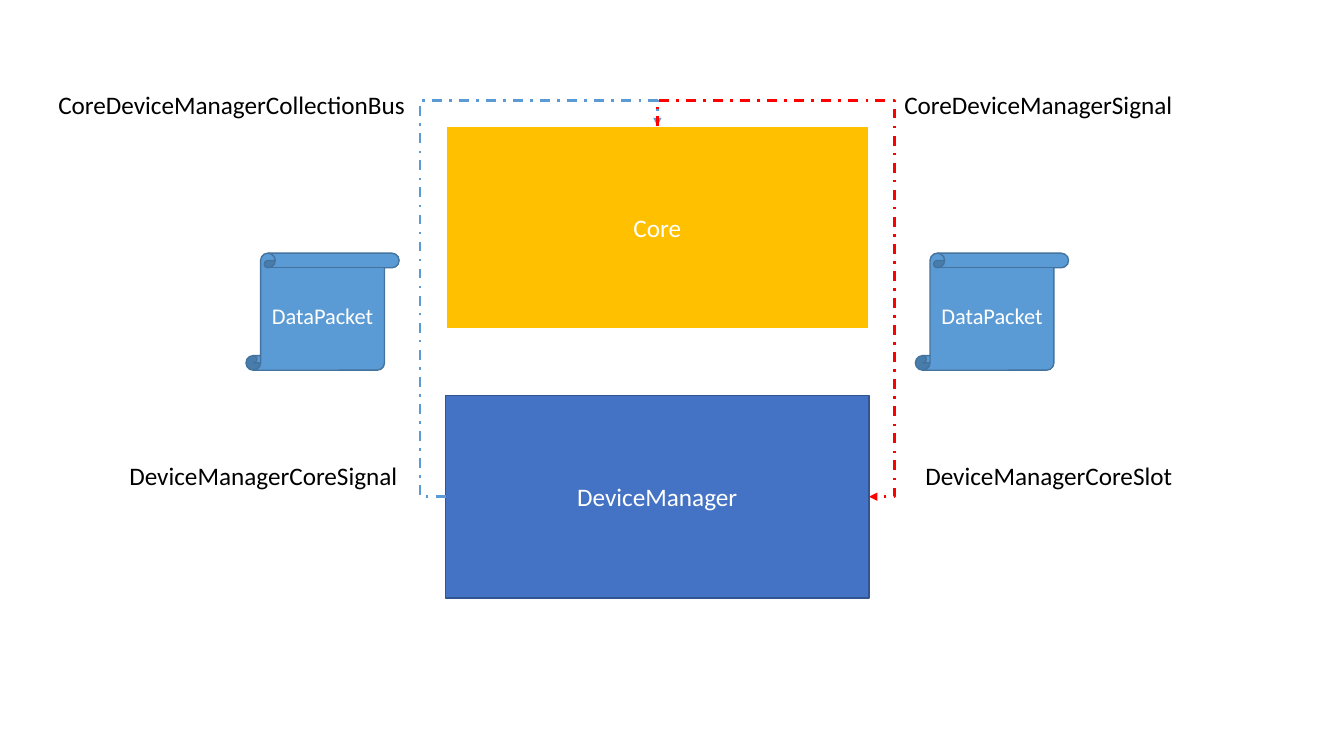
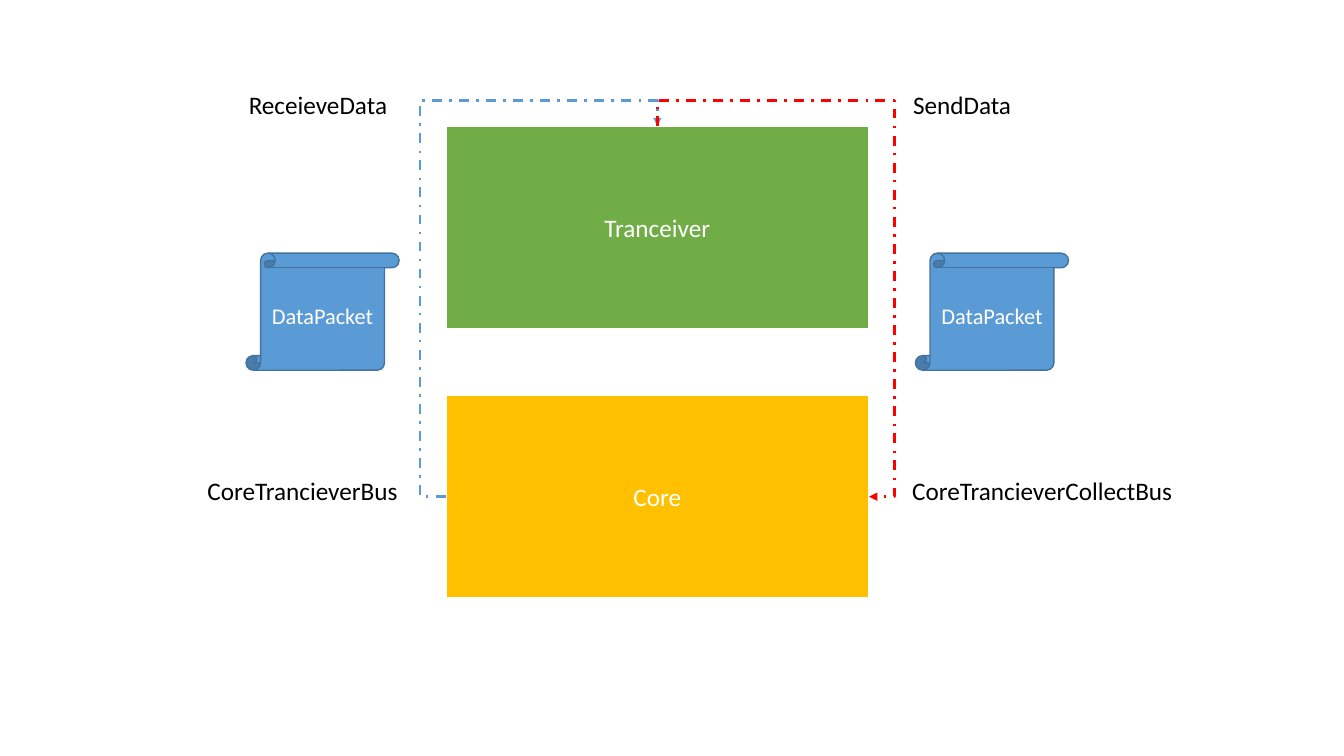
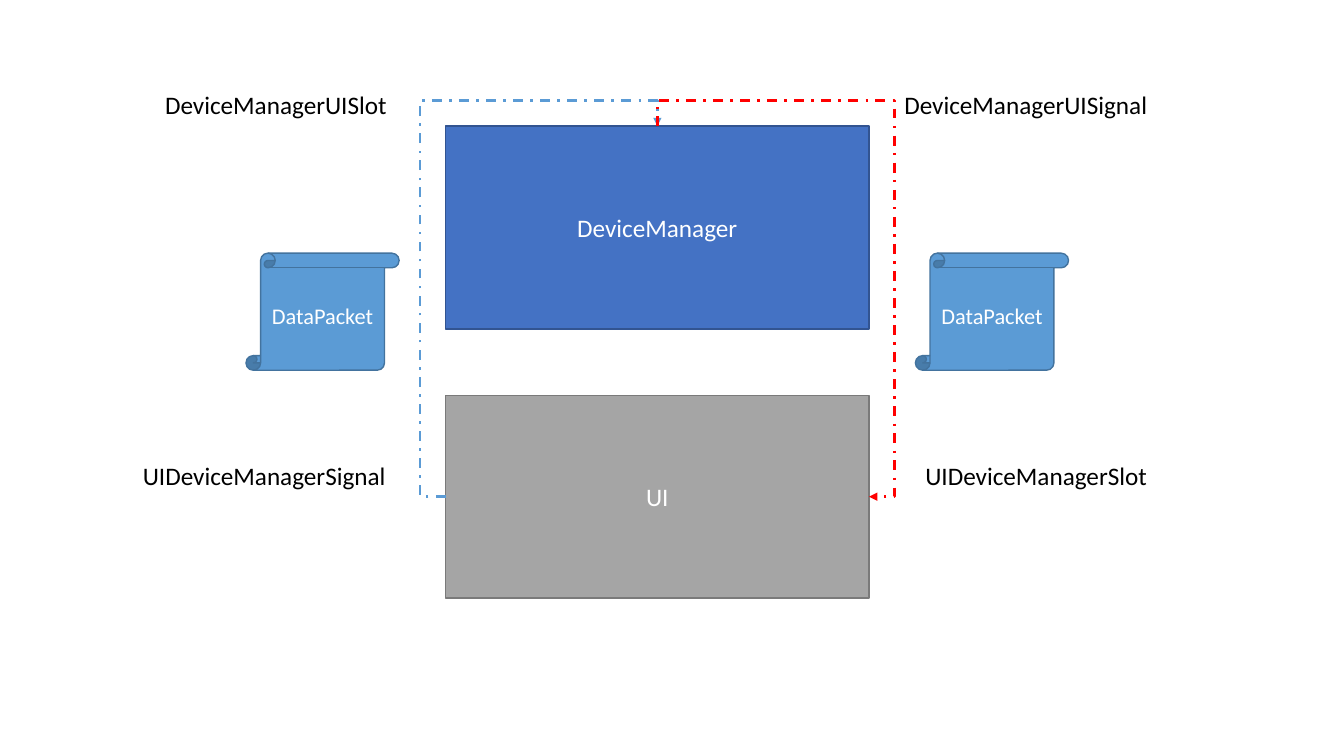
from lxml import etree
from pptx import Presentation
from pptx import util as u
from pptx.dml.color import RGBColor
from pptx.enum import dml, shapes, text
from pptx.oxml import ns

INK = {"white": "FFFFFF", "black": "000000", "red": "FF0000", "sky": "5B9BD5",
       "steel": "43739E", "gold": "FFC000", "green": "70AD47", "blue": "4472C4",
       "navy": "325491", "gray": "A5A5A5", "iron": "7A7A7A"}
FONT = "Calibri"
LEFT, TOP, WIDE, HIGH, PITCH = 11.23, 3.18, 10.67, 5.11, 6.78
LOOP = 0.64
SCROLL = {"wide": 3.86, "high": 2.95, "gap": 1.17, "drop": 3.2}
PARTS = {
    "Core": ("gold", "white", 1.5),
    "Tranceiver": ("green", "white", 1.5),
    "DeviceManager": ("blue", "navy", 1),
    "UI": ("gray", "iron", 1),
}
SLIDES = [
    {"parts": ("Core", "DeviceManager"), "low": 8.3,
     "left": (("CoreDeviceManagerCollectionBus", 0.66, 9.35),
              ("DeviceManagerCoreSignal", 0.88, 7.34)),
     "right": (("CoreDeviceManagerSignal", 0.64, 7.34),
               ("DeviceManagerCoreSlot", 1.17, 6.81))},
    {"parts": ("Tranceiver", "Core"), "low": 8.68,
     "left": (("ReceieveData", 1.17, 4.04), ("CoreTrancieverBus", 0.89, 5.36)),
     "right": (("SendData", 0.86, 3.02), ("CoreTrancieverCollectBus", 0.84, 7.14))},
    {"parts": ("DeviceManager", "UI"), "low": 8.3,
     "left": (("DeviceManagerUISlot", 1.17, 6.15), ("UIDeviceManagerSignal", 1.17, 6.71)),
     "right": (("DeviceManagerUISignal", 0.64, 6.71), ("UIDeviceManagerSlot", 1.17, 6.15))},
]


def tint(name):
    """Return the named colour."""
    return RGBColor.from_string(INK[name])


def write(frame, words, size, ink):
    """Add one run of text to a frame."""
    run = frame.paragraphs[0].add_run()
    run.text = words
    run.font.size, run.font.name = u.Pt(size), FONT
    run.font.color.rgb = tint(ink)


def block(slide, kind, box, words, look, size=18):
    """Draw a filled shape with centred text in the box."""
    fill, edge, weight = look
    form = slide.shapes.add_shape(kind, *map(u.Cm, box))
    form.shadow.inherit = False
    form.fill.solid()
    form.fill.fore_color.rgb = tint(fill)
    form.line.color.rgb = tint(edge)
    form.line.width = u.Pt(weight)
    form.text_frame.vertical_anchor = text.MSO_ANCHOR.MIDDLE
    form.text_frame.paragraphs[0].alignment = text.PP_ALIGN.CENTER
    write(form.text_frame, words, size, "white")
    return form


def label(slide, x, y, wide, words):
    """Place a one-line label."""
    frame = slide.shapes.add_textbox(*map(u.Cm, (x, y, wide, 1.03))).text_frame
    frame.word_wrap = False
    frame.auto_size = text.MSO_AUTO_SIZE.SHAPE_TO_FIT_TEXT
    write(frame, words, 18, "black")


def route(slide, box, turn, ink, start, end):
    """Draw a dashed elbow arrow around the box, turned by some degrees."""
    x, y, wide, high = box
    line = slide.shapes.add_connector(shapes.MSO_CONNECTOR.ELBOW, 0, 0, 0, 0)
    line.begin_connect(*start)
    line.end_connect(*end)
    line.left, line.top, line.width, line.height = map(u.Cm, box)
    line.line.color.rgb = tint(ink)
    line.line.width = u.Pt(1.75)
    line.line.dash_style = dml.MSO_LINE.DASH_DOT
    props = line._element.spPr
    frame = props.find(ns.qn("a:xfrm"))
    frame.attrib.pop("flipV", None)
    frame.set("flipH", "1")
    frame.set("rot", str(turn * 60000))
    geom = props.find(ns.qn("a:prstGeom"))
    geom.set("prst", "bentConnector4")
    bends = geom.find(ns.qn("a:avLst"))
    if bends is None:
        bends = etree.SubElement(geom, ns.qn("a:avLst"))
    for name, share in (("adj1", -LOOP / wide), ("adj2", 1 + LOOP / high)):
        if turn == 270:
            share = -LOOP / wide if name == "adj1" else 1 + LOOP / high
        etree.SubElement(bends, ns.qn("a:gd"), name=name,
                         fmla=f"val {round(share * 100000)}")
    etree.SubElement(props.find(ns.qn("a:ln")), ns.qn("a:tailEnd"), type="triangle")
    etree.SubElement(props, ns.qn("a:effectLst"))


def loops(slide, box, upper, lower):
    """Join two blocks by an arrow on each side of the box."""
    x, y, wide, high = box
    half, drop = wide / 2, PITCH + high / 2 - high / 2 + high / 2
    route(slide, (x, y, half, drop), 180, "sky", (lower, 1), (upper, 0))
    shift = (drop - half) / 2
    route(slide, (x + half - shift, y + shift, drop, half), 270, "red",
          (upper, 0), (lower, 3))


def scheme(slide, box, plan):
    """Build one exchange between two blocks."""
    x, y, wide, high = box
    upper, lower = [
        block(slide, shapes.MSO_SHAPE.RECTANGLE, (x, y + i * PITCH, wide, high),
              name, PARTS[name])
        for i, name in enumerate(plan["parts"])]
    loops(slide, box, upper, lower)
    rows = (y - 1.05, y + plan["low"])
    for row, (words, gap, span) in zip(rows, plan["left"]):
        label(slide, x - gap - span, row, span, words)
    for row, (words, gap, span) in zip(rows, plan["right"]):
        label(slide, x + wide + gap, row, span, words)
    for left in (x - SCROLL["gap"] - SCROLL["wide"], x + wide + SCROLL["gap"]):
        block(slide, shapes.MSO_SHAPE.VERTICAL_SCROLL,
              (left, y + SCROLL["drop"], SCROLL["wide"], SCROLL["high"]),
              "DataPacket", ("sky", "steel", 1), 16)


deck = Presentation()
deck.slide_width, deck.slide_height = u.Cm(33.87), u.Cm(19.05)
for plan in SLIDES:
    scheme(deck.slides.add_slide(deck.slide_layouts[6]), (LEFT, TOP, WIDE, HIGH), plan)
deck.save("out.pptx")
